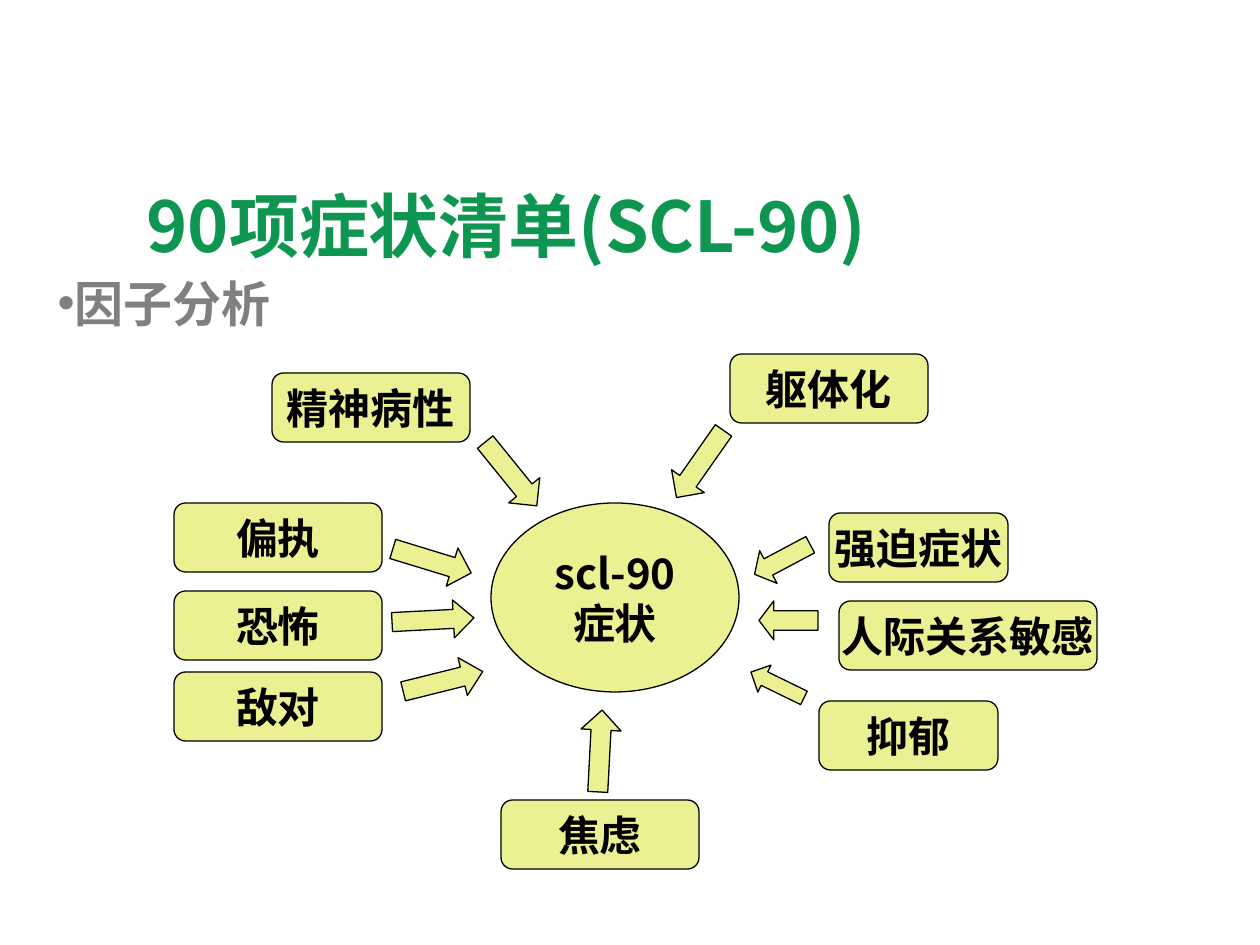
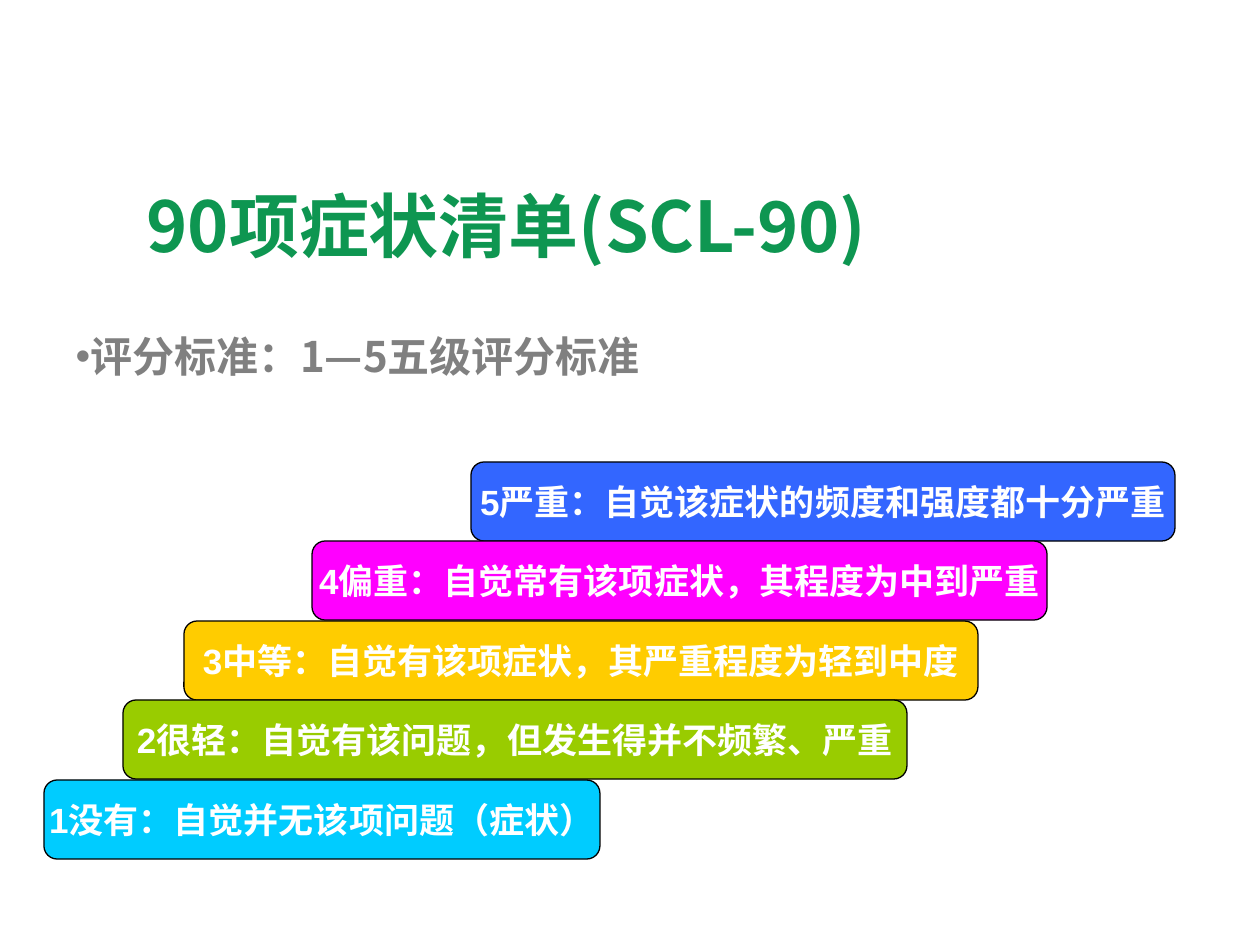
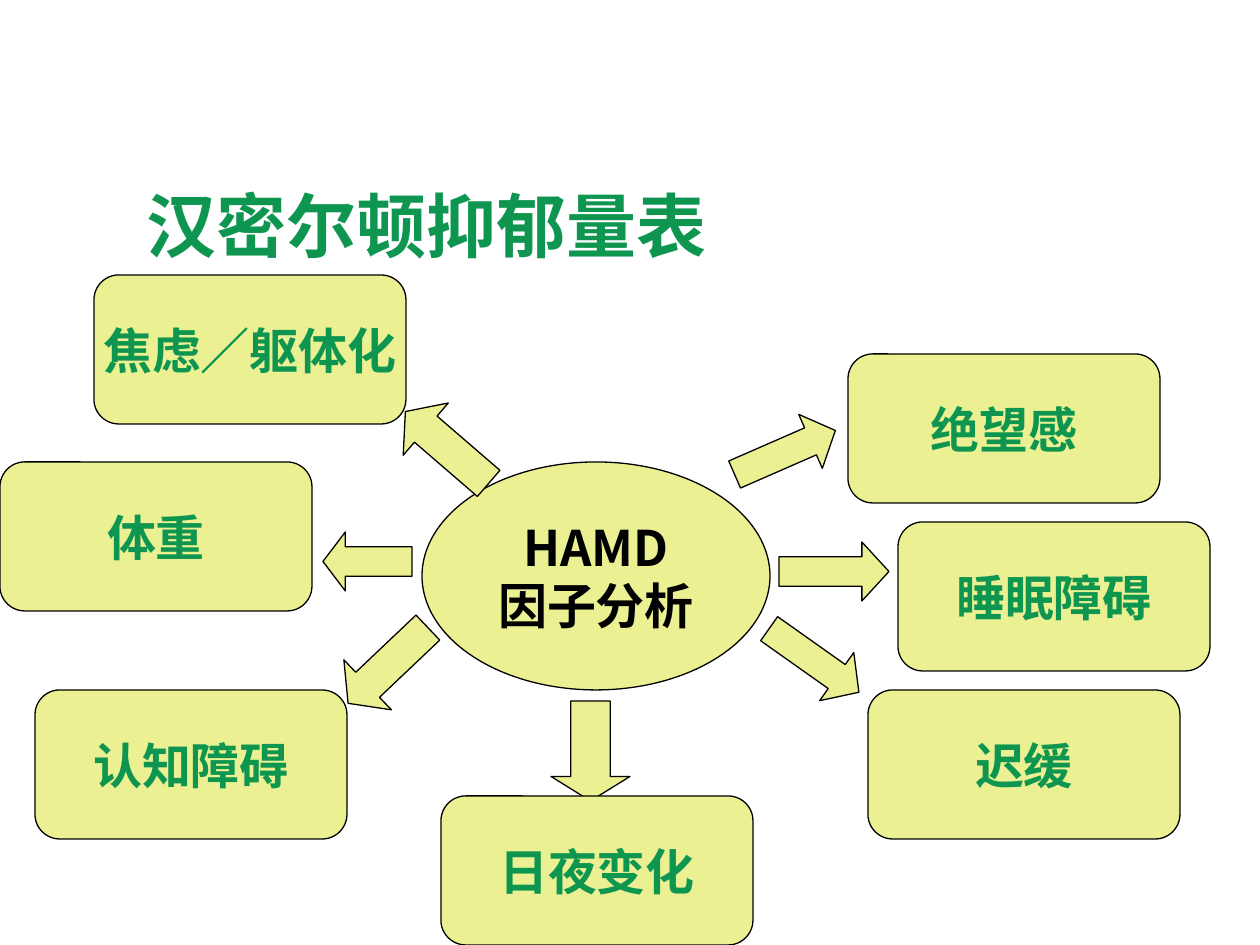
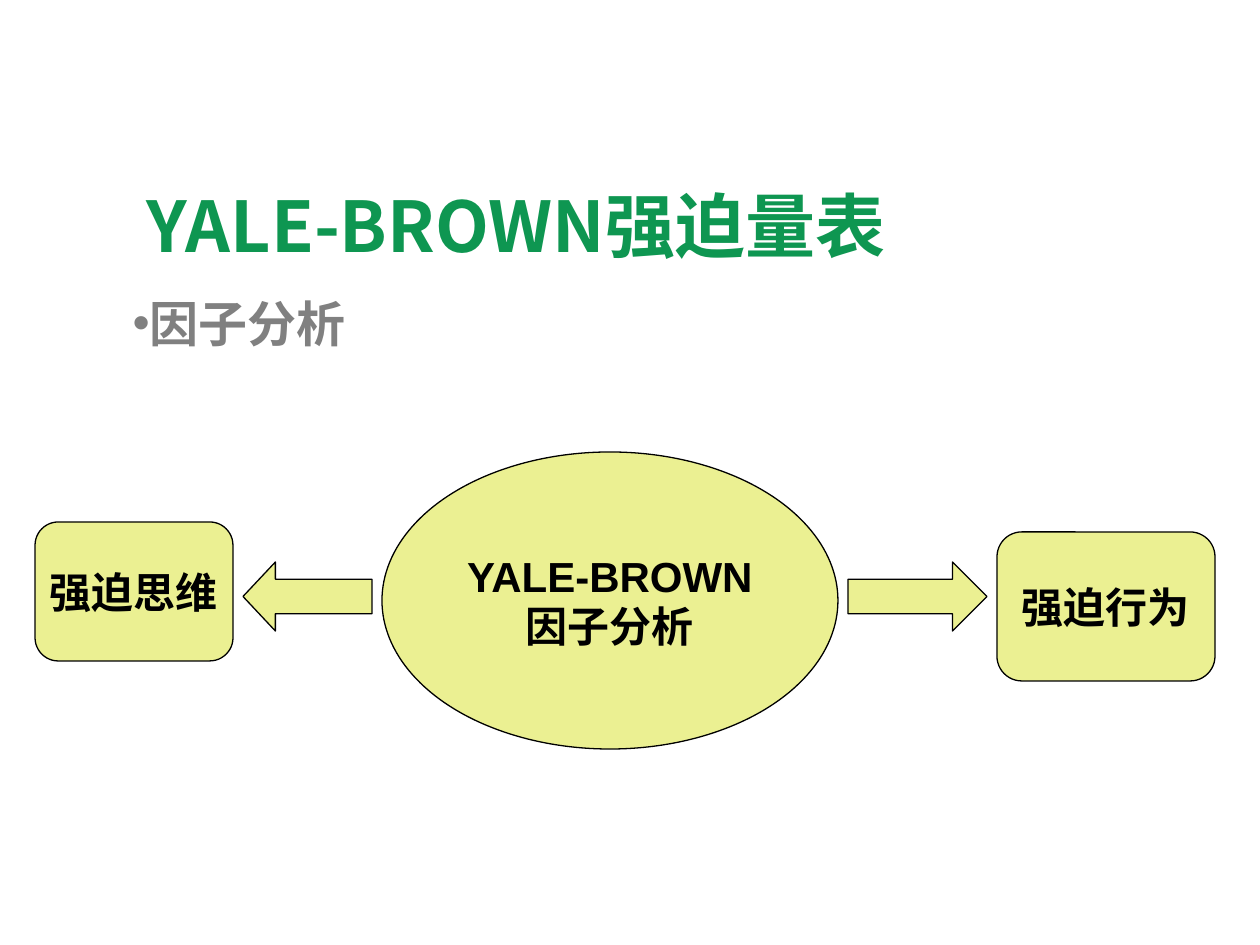
"""Build four slides on psychological rating scales and their factors."""
import lxml.etree
import pptx
import pptx.dml.color
import pptx.enum.shapes
import pptx.enum.text
import pptx.oxml.ns
import pptx.util

RGBColor = pptx.dml.color.RGBColor
SHAPE = pptx.enum.shapes.MSO_SHAPE
ALIGN = pptx.enum.text.PP_ALIGN
ANCHOR = pptx.enum.text.MSO_ANCHOR
AUTO_SIZE = pptx.enum.text.MSO_AUTO_SIZE
qn = pptx.oxml.ns.qn

GREEN = RGBColor(0x0E, 0x96, 0x51)
GRAY = RGBColor(0x80, 0x80, 0x80)
LIME = RGBColor(0xEB, 0xF0, 0x92)
BLACK = RGBColor(0x00, 0x00, 0x00)
WHITE = RGBColor(0xFF, 0xFF, 0xFF)
BLUE = RGBColor(0x33, 0x66, 0xFF)
MAGENTA = RGBColor(0xFF, 0x00, 0xFF)
AMBER = RGBColor(0xFF, 0xCC, 0x00)
LEAF = RGBColor(0x99, 0xCC, 0x00)
CYAN = RGBColor(0x00, 0xCC, 0xFF)

LATIN = "Arial"
CHINESE = "Noto Sans CJK SC"
PX_PER_INCH = 126
TITLE_AND_BODY, TITLE_ONLY = 1, 5
TITLE_BOX = (134, 175, 1063, 100)
SCL_TITLE = "90项症状清单(SCL-90)"


def px(length):
    """Turn px into EMU."""
    return pptx.util.Inches(length / PX_PER_INCH)


def place(shape, box):
    """Move and size a shape to a box of left, top, width, height."""
    shape.left, shape.top, shape.width, shape.height = map(px, box)


def add_run(paragraph, text, size, color, font_name):
    """Add one bold run with Latin and Chinese fonts."""
    run = paragraph.add_run()
    run.text = text
    run.font.size = pptx.util.Pt(size)
    run.font.bold = True
    run.font.color.rgb = color
    run.font.name = font_name
    east_asian = lxml.etree.Element(qn("a:ea"), typeface=CHINESE)
    run.font._element.find(qn("a:latin")).addnext(east_asian)


def add_titled_slide(presentation, layout_index, title):
    """Add a slide with the shared title style."""
    slide = presentation.slides.add_slide(presentation.slide_layouts[layout_index])
    place(slide.shapes.title, TITLE_BOX)
    frame = slide.shapes.title.text_frame
    frame.auto_size = AUTO_SIZE.NONE
    frame.vertical_anchor = ANCHOR.MIDDLE
    paragraph = frame.paragraphs[0]
    paragraph.alignment = ALIGN.LEFT
    add_run(paragraph, title, 40, GREEN, CHINESE)
    return slide


def fill_body(slide, box, text, size):
    """Put one bulleted line into the body placeholder."""
    body = slide.placeholders[1]
    place(body, box)
    body.text_frame.auto_size = AUTO_SIZE.NONE
    paragraph = body.text_frame.paragraphs[0]
    properties = paragraph._p.get_or_add_pPr()
    indent = pptx.util.Inches(0.02)
    properties.set("marL", str(indent))
    properties.set("indent", str(-indent))
    bullet_color = lxml.etree.SubElement(properties, qn("a:buClr"))
    lxml.etree.SubElement(bullet_color, qn("a:srgbClr"), val=str(GRAY))
    lxml.etree.SubElement(properties, qn("a:buFont"), typeface=LATIN)
    lxml.etree.SubElement(properties, qn("a:buChar"), char="•")
    paragraph.line_spacing = 1.2
    paragraph.space_before = pptx.util.Pt(0)
    add_run(paragraph, text, size, GRAY, CHINESE)


def add_outlined(slide, kind, box, fill=LIME):
    """Add a filled preset shape with a thin black outline."""
    shape = slide.shapes.add_shape(kind, *map(px, box))
    shape.shadow.inherit = False
    shape.fill.solid()
    shape.fill.fore_color.rgb = fill
    shape.line.color.rgb = BLACK
    shape.line.width = pptx.util.Pt(0.75)
    return shape


def add_label(slide, kind, box, lines, size, color=BLACK, fill=LIME, font_name=LATIN):
    """Add a shape with centred lines of text."""
    frame = add_outlined(slide, kind, box, fill).text_frame
    frame.word_wrap = False
    frame.vertical_anchor = ANCHOR.MIDDLE
    for index, line in enumerate(lines):
        paragraph = frame.add_paragraph() if index else frame.paragraphs[0]
        paragraph.alignment = ALIGN.CENTER
        add_run(paragraph, line, size, color, font_name)


def add_arrows(slide, arrows):
    """Add block arrows given as kind, box, rotation and head ratio."""
    for kind, box, rotation, head in arrows:
        arrow = add_outlined(slide, kind, box)
        arrow.rotation = rotation
        arrow.adjustments[0] = 0.5
        arrow.adjustments[1] = head


def add_factors(slide, factors, size, color=BLACK):
    """Add rounded boxes given as name and box."""
    for name, box in factors:
        add_label(slide, SHAPE.ROUNDED_RECTANGLE, box, [name], size, color)


def build_scl_factors(presentation):
    """Build the SCL-90 factor diagram."""
    slide = add_titled_slide(presentation, TITLE_AND_BODY, SCL_TITLE)
    fill_body(slide, (45, 255, 1171, 575), "因子分析", 28)
    add_label(slide, SHAPE.OVAL, (491, 503, 248, 189), ["scl-90", "症状"], 24,
              font_name=CHINESE)
    add_arrows(slide, [
        (SHAPE.RIGHT_ARROW, (391, 541, 82, 40), 17, 0.5),
        (SHAPE.LEFT_ARROW, (751, 541, 63, 37), 332, 0.42),
        (SHAPE.RIGHT_ARROW, (392, 601, 82, 38), 357, 0.54),
        (SHAPE.RIGHT_ARROW, (402, 662, 82, 39), 346, 0.53),
        (SHAPE.LEFT_ARROW, (759, 601, 59, 39), 0, 0.38),
        (SHAPE.LEFT_ARROW, (748, 670, 59, 30), 26, 0.5),
        (SHAPE.RIGHT_ARROW, (559, 731, 82, 40), 273, 0.5),
        (SHAPE.RIGHT_ARROW, (470, 454, 82, 40), 51, 0.5),
        (SHAPE.RIGHT_ARROW, (659, 444, 82, 40), 125, 0.5),
    ])
    factors = [
        ("偏执", 174, 503, 208), ("恐怖", 174, 591, 208), ("敌对", 174, 672, 208),
        ("强迫症状", 829, 513, 179), ("人际关系敏感", 839, 601, 258),
        ("抑郁", 819, 701, 179), ("焦虑", 501, 800, 198),
        ("精神病性", 272, 373, 198), ("躯体化", 730, 354, 198),
    ]
    add_factors(slide, [(name, (left, top, width, 69))
                        for name, left, top, width in factors], 24)


def build_scl_scores(presentation):
    """Build the staircase of SCL-90 scores."""
    slide = add_titled_slide(presentation, TITLE_AND_BODY, SCL_TITLE)
    fill_body(slide, (63, 314, 1134, 536), "评分标准：1—5五级评分标准", 24)
    steps = [
        ("5严重：自觉该症状的频度和强度都十分严重", 471, 704, BLUE),
        ("4偏重：自觉常有该项症状，其程度为中到严重", 312, 735, MAGENTA),
        ("3中等：自觉有该项症状，其严重程度为轻到中度", 184, 794, AMBER),
        ("2很轻：自觉有该问题，但发生得并不频繁、严重", 123, 784, LEAF),
        ("1没有：自觉并无该项问题（症状）", 44, 556, CYAN),
    ]
    first_top, last_top = 462, 780
    for index, (text, left, width, fill) in enumerate(steps):
        top = first_top + (last_top - first_top) * index // (len(steps) - 1)
        add_label(slide, SHAPE.ROUNDED_RECTANGLE, (left, top, width, 79), [text], 20,
                  WHITE, fill)


def build_hamilton(presentation):
    """Build the Hamilton depression scale diagram."""
    slide = add_titled_slide(presentation, TITLE_ONLY, "汉密尔顿抑郁量表")
    add_label(slide, SHAPE.OVAL, (422, 462, 348, 228), ["HAMD", "因子分析"], 28,
              font_name=CHINESE)
    add_arrows(slide, [
        (SHAPE.LEFT_ARROW, (392, 413, 110, 69), 40.8, 0.39),
        (SHAPE.LEFT_ARROW, (323, 532, 89, 59), 0, 0.38),
        (SHAPE.LEFT_ARROW, (333, 631, 110, 69), 316.5, 0.39),
        (SHAPE.RIGHT_ARROW, (779, 542, 110, 59), 0, 0.46),
        (SHAPE.RIGHT_ARROW, (730, 423, 110, 59), 336.4, 0.46),
        (SHAPE.RIGHT_ARROW, (759, 631, 110, 59), 35.3, 0.46),
        (SHAPE.DOWN_ARROW, (551, 701, 79, 100), 0, 0.31),
    ])
    factors = [
        ("焦虑／躯体化", 94, 275), ("迟缓", 868, 690), ("睡眠障碍", 898, 522),
        ("绝望感", 848, 354), ("体重", 0, 462), ("认知障碍", 35, 690),
        ("日夜变化", 441, 796),
    ]
    add_factors(slide, [(name, (left, top, 312, 149)) for name, left, top in factors],
                28, GREEN)


def build_yale_brown(presentation):
    """Build the Yale-Brown scale diagram."""
    slide = add_titled_slide(presentation, TITLE_AND_BODY, "YALE-BROWN强迫量表")
    fill_body(slide, (120, 275, 1021, 570), "因子分析", 28)
    add_label(slide, SHAPE.OVAL, (382, 452, 456, 297), ["YALE-BROWN", "因子分析"], 24)
    add_arrows(slide, [
        (SHAPE.LEFT_ARROW, (243, 562, 129, 69), 0, 0.47),
        (SHAPE.RIGHT_ARROW, (848, 562, 139, 69), 0, 0.5),
    ])
    add_factors(slide, [("强迫思维", (35, 522, 198, 139)),
                        ("强迫行为", (997, 532, 218, 149))], 24)


def main():
    """Build and save the presentation."""
    presentation = pptx.Presentation()
    presentation.slide_width = px(1260)
    presentation.slide_height = px(945)
    build_scl_factors(presentation)
    build_scl_scores(presentation)
    build_hamilton(presentation)
    build_yale_brown(presentation)
    presentation.save("out.pptx")


if __name__ == "__main__":
    main()
